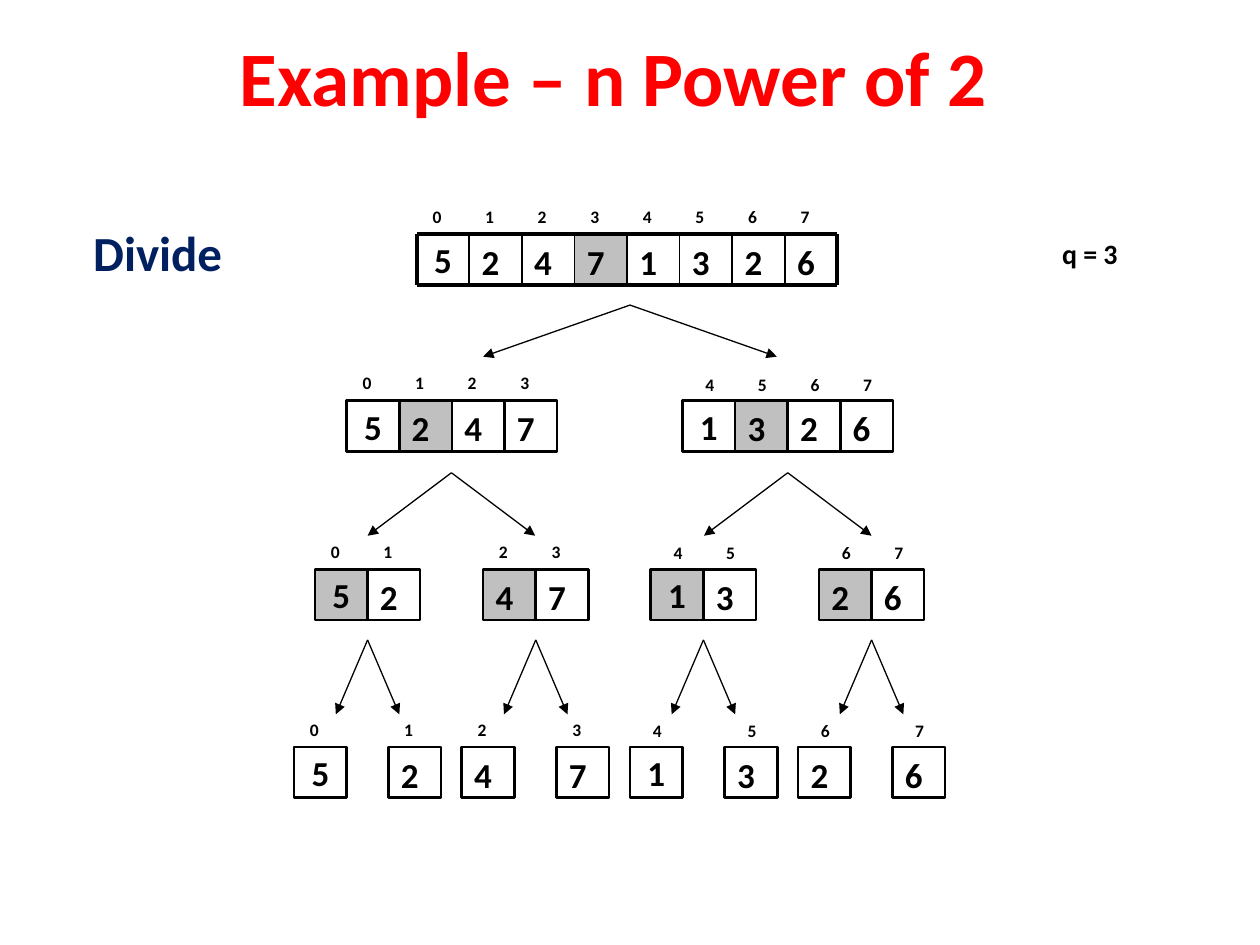
"""Build the divide steps of a sort on eight values as a tree of cells."""
import pptx
import pptx.util
import pptx.dml.color
import pptx.enum.shapes
import pptx.enum.text
import pptx.oxml
import pptx.oxml.ns

Cm = pptx.util.Cm
Pt = pptx.util.Pt
Align = pptx.enum.text.PP_ALIGN
Anchor = pptx.enum.text.MSO_ANCHOR
Kind = pptx.enum.shapes

COLORS = {"ink": "000000", "title": "FF0000", "step": "002060", "pivot": "C0C0C0"}
FONT = "Calibri"
VALUES = [5, 2, 4, 7, 1, 3, 2, 6]
CELL_W, CELL_H = 1.06, 1.02
LEVELS = [
    (4.72, [8.4]),
    (8.08, [6.99, 13.76]),
    (11.48, [6.35, 9.74, 13.12, 16.51]),
    (15.06, [5.93, 7.83, 9.31, 11.22, 12.7, 14.61, 16.09, 17.99]),
]
FORKS = [
    (6.15, 7.19, 2.96, [12.7]),
    (9.53, 10.8, 1.69, [9.1, 15.88]),
    (12.9, 14.4, 0.64, [7.41, 10.8, 14.18, 17.57]),
]


def color(name):
    return pptx.dml.color.RGBColor.from_string(COLORS[name])


def write(shape, text, size, ink="ink", mid=False, center=False, wrap=True):
    frame = shape.text_frame
    frame.word_wrap = wrap
    frame.vertical_anchor = Anchor.MIDDLE if mid else Anchor.TOP
    para = frame.paragraphs[0]
    para.text = text
    para.alignment = Align.CENTER if center else Align.LEFT
    para.font.name = FONT
    para.font.size = Pt(size)
    para.font.bold = True
    para.font.color.rgb = color(ink)


def label(slide, box, text, size, **style):
    shape = slide.shapes.add_textbox(*map(Cm, box))
    write(shape, text, size, **style)


def cell(slide, left, top, value, pivot, first, border):
    box = map(Cm, (left, top, CELL_W, CELL_H))
    shape = slide.shapes.add_shape(Kind.MSO_SHAPE.RECTANGLE, *box)
    shape.shadow.inherit = False
    if pivot:
        shape.fill.solid()
        shape.fill.fore_color.rgb = color("pivot")
    else:
        shape.fill.background()
    if border:
        shape.line.color.rgb = color("ink")
        shape.line.width = Pt(1.5)
    else:
        shape.line.fill.background()
    write(shape, str(value), 20, mid=first, center=first)


def line(slide, start, end, width, arrow=False):
    ends = map(Cm, (*start, *end))
    link = slide.shapes.add_connector(Kind.MSO_CONNECTOR.STRAIGHT, *ends)
    link.line.color.rgb = color("ink")
    link.line.width = Pt(width)
    qn = pptx.oxml.ns.qn
    if arrow:
        tail = pptx.oxml.parse_xml(
            f'<a:tailEnd {pptx.oxml.ns.nsdecls("a")} type="triangle"/>')
        link.line._get_or_add_ln().append(tail)
    props = link._element.spPr
    props.append(props.makeelement(qn("a:effectLst"), {}))


def block(slide, left, top, start, size):
    whole = size == len(VALUES)
    for i in range(size):
        pos = start + i
        x = left + i * CELL_W
        right = pos >= 4 and not whole
        shift, rise = (0.21, 0.67) if right else (0.07, 0.7)
        label(slide, (x + shift, top - rise, 0.64, 0.69), str(pos), 10)
        pivot = size > 1 and i == size // 2 - 1
        first = i == 0 and start % 4 == 0
        cell(slide, x, top, VALUES[pos], pivot, first, not whole)


def grid(slide, left, top, count):
    right, base = left + count * CELL_W, top + CELL_H
    for y in (top, base):
        line(slide, (left, y), (right, y), 2.25)
    for i in range(count + 1):
        x = left + i * CELL_W
        line(slide, (x, top), (x, base), 2.25 if i in (0, count) else 1)


def fork(slide, x, top, base, spread):
    for side in (-1, 1):
        line(slide, (x, top), (x + side * spread, base), 0.75, arrow=True)


def main():
    deck = pptx.Presentation()
    deck.slide_width, deck.slide_height = Cm(25.4), Cm(19.05)
    slide = deck.slides.add_slide(deck.slide_layouts[6])
    label(slide, (0.94, 0.28, 22.86, 2.51), "Example – n Power of 2", 44,
          ink="title", mid=True, center=True)
    label(slide, (1.63, 4.37, 3.2, 1.45), "Divide", 28, ink="step", wrap=False)
    label(slide, (21.16, 4.65, 2.74, 0.94), "q = 3", 16)
    for top, lefts in LEVELS:
        size = len(VALUES) // len(lefts)
        for i, left in enumerate(lefts):
            block(slide, left, top, i * size, size)
    top, lefts = LEVELS[0]
    grid(slide, lefts[0], top, len(VALUES))
    for top, base, spread, tips in FORKS:
        for x in tips:
            fork(slide, x, top, base, spread)
    deck.save("out.pptx")


if __name__ == "__main__":
    main()
